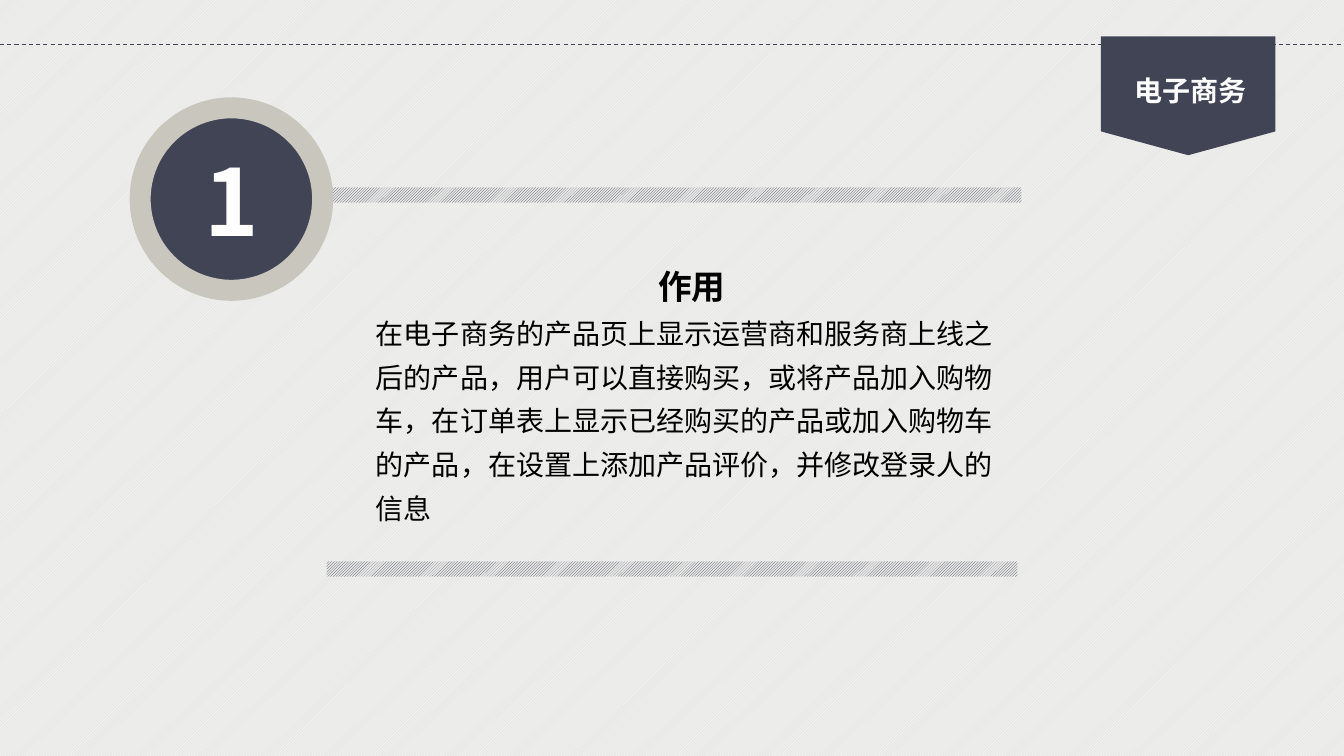
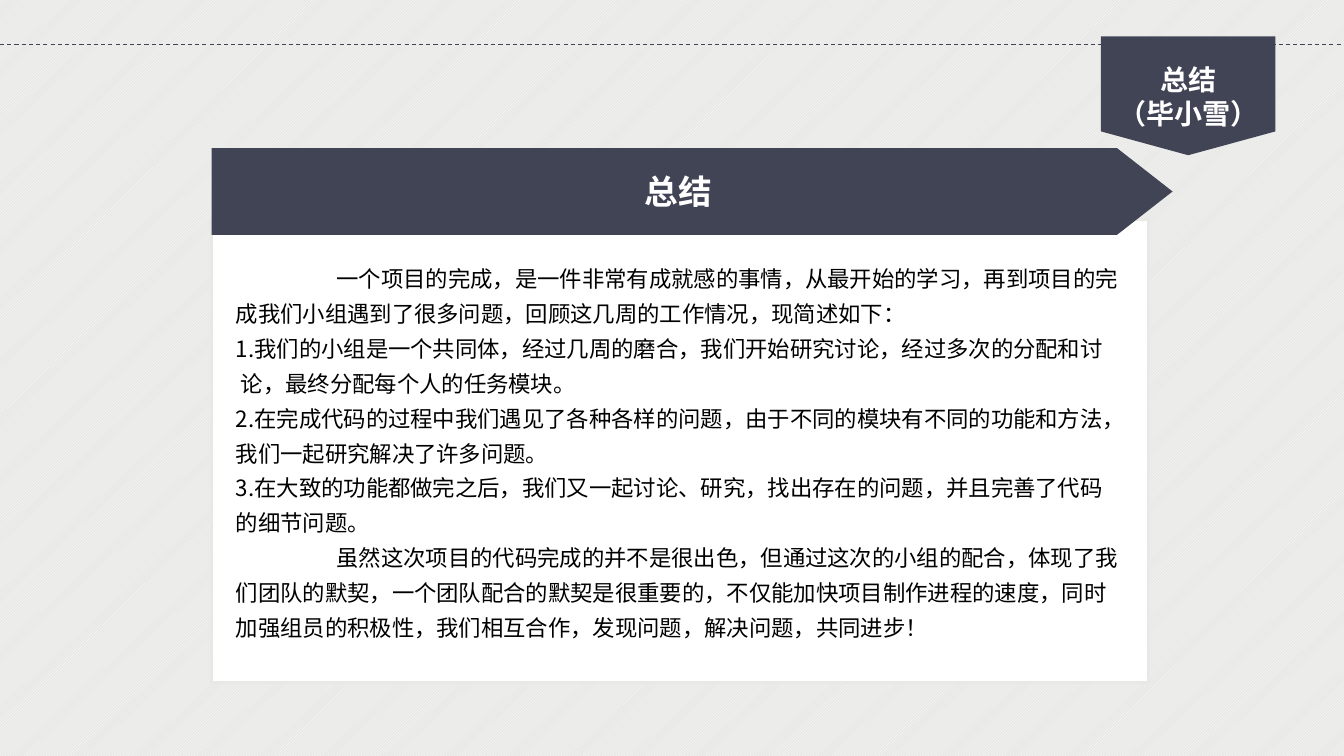
from dataclasses import dataclass

from lxml import etree
from pptx import Presentation
from pptx.dml.color import RGBColor
from pptx.enum.dml import MSO_LINE, MSO_PATTERN
from pptx.enum.shapes import MSO_CONNECTOR, MSO_SHAPE
from pptx.enum.text import MSO_ANCHOR, PP_ALIGN
from pptx.oxml.ns import qn
from pptx.util import Inches, Pt

STRIPES = MSO_PATTERN.LIGHT_UPWARD_DIAGONAL
DASH = MSO_LINE.DASH
STRAIGHT = MSO_CONNECTOR.STRAIGHT
RECTANGLE = MSO_SHAPE.RECTANGLE
ELLIPSE = MSO_SHAPE.OVAL
PENTAGON = MSO_SHAPE.PENTAGON
BADGE = MSO_SHAPE.FLOWCHART_OFFPAGE_CONNECTOR
LEFT, CENTER = PP_ALIGN.LEFT, PP_ALIGN.CENTER
TOP, MIDDLE = MSO_ANCHOR.TOP, MSO_ANCHOR.MIDDLE


@dataclass(frozen=True)
class Theme:
    navy: str = "414455"
    stone: str = "C8C6BD"
    mist: str = "E8E8E6"
    white: str = "FFFFFF"
    black: str = "000000"
    font: str = "Noto Sans CJK SC"
    number_font: str = "Noto Sans CJK JP"
    number: int = 66
    heading: int = 24
    label: int = 20
    body: int = 16
    spacing: float = 1.3


THEME = Theme()
WIDTH, HEIGHT = 13.33, 7.5

# Content: each paragraph of the summary is (text, left margin, first-line indent)
ROLE = {
    "badge": ["电子商务"],
    "badge_at": (11.15, 0.68, 1.32, 0.44),
    "number": "1",
    "heading": "作用",
    "body": "在电子商务的产品页上显示运营商和服务商上线之后的产品，用户可以直接购买，"
            "或将产品加入购物车，在订单表上显示已经购买的产品或加入购物车的产品，"
            "在设置上添加产品评价，并修改登录人的信息",
    "bars": [(3.24, 5.57), (3.28, 1.86)],
}
SUMMARY = {
    "badge": ["总结", "（毕小雪）"],
    "badge_at": (10.99, 0.57, 1.59, 0.77),
    "heading": "总结",
    "body": [
        ("一个项目的完成，是一件非常有成就感的事情，从最开始的学习，再到项目的完成"
         "我们小组遇到了很多问题，回顾这几周的工作情况，现简述如下：", 0, 1),
        ("1.我们的小组是一个共同体，经过几周的磨合，我们开始研究讨论，"
         "经过多次的分配和讨论，最终分配每个人的任务模块。", 0.05, -0.05),
        ("2.在完成代码的过程中我们遇见了各种各样的问题，由于不同的模块有不同的功能和方法，"
         "我们一起研究解决了许多问题。", 0, 0),
        ("3.在大致的功能都做完之后，我们又一起讨论、研究，找出存在的问题，"
         "并且完善了代码的细节问题。", 0, 0),
        ("虽然这次项目的代码完成的并不是很出色，但通过这次的小组的配合，体现了我们团队的默契，"
         "一个团队配合的默契是很重要的，不仅能加快项目制作进程的速度，"
         "同时加强组员的积极性，我们相互合作，发现问题，解决问题，共同进步！", 0, 1),
    ],
}


def color(value):
    return RGBColor.from_string(value)


def stripe(fill, front):
    fill.patterned()
    fill.pattern = STRIPES
    fill.fore_color.rgb = color(front)
    fill.back_color.rgb = color(THEME.mist)


def add_shape(page, kind, at, fill=THEME.navy, line=None, line_width=0):
    shape = page.shapes.add_shape(kind, *map(Inches, at))
    shape.shadow.inherit = False
    if fill:
        shape.fill.solid()
        shape.fill.fore_color.rgb = color(fill)
    if line:
        shape.line.color.rgb = color(line)
        shape.line.width = Pt(line_width)
    else:
        shape.line.fill.background()
    return shape


def add_box(page, at):
    return page.shapes.add_textbox(*map(Inches, at))


def write(shape, text, size=THEME.label, ink=THEME.black, bold=False, align=LEFT,
          font=THEME.font, spacing=None, margin=0, indent=0, anchor=TOP, wrap=True):
    """Fill the first paragraph of a shape, or append one to existing text."""
    frame = shape.text_frame
    frame.word_wrap = wrap
    frame.vertical_anchor = anchor
    para = frame.add_paragraph() if frame.text else frame.paragraphs[0]
    para.alignment = align
    if spacing:
        para.line_spacing = spacing
    if margin or indent:
        properties = para._p.get_or_add_pPr()
        properties.set("marL", str(Inches(margin)))
        properties.set("indent", str(Inches(indent)))
    span = para.add_run()
    span.text = text
    span.font.size = Pt(size)
    span.font.bold = bold
    span.font.color.rgb = color(ink)
    span.font.name = font
    east_asian = etree.SubElement(span._r.get_or_add_rPr(), qn("a:ea"))
    east_asian.set("typeface", font)


def add_page(deck, content):
    """Striped page with the dashed rule and the corner badge."""
    page = deck.slides.add_slide(deck.slide_layouts[6])
    stripe(page.background.fill, THEME.white)
    rule = page.shapes.add_connector(
        STRAIGHT, 0, Inches(0.44), Inches(WIDTH), Inches(0.44))
    rule.line.color.rgb = color(THEME.navy)
    rule.line.width = Pt(0.75)
    rule.line.dash_style = DASH
    etree.SubElement(rule._element.spPr, qn("a:effectLst"))
    add_shape(page, BADGE, (10.92, 0.36, 1.73, 1.18))
    label = add_box(page, content["badge_at"])
    for text in content["badge"]:
        write(label, text, ink=THEME.white, bold=True, align=CENTER, wrap=False)
    return page


def add_role(deck):
    page = add_page(deck, ROLE)
    # Striped bars above and below the text
    for left, top in ROLE["bars"]:
        bar = add_shape(page, RECTANGLE, (left, top, 6.85, 0.15), fill=None)
        stripe(bar.fill, THEME.navy)
    # Number disc
    disc = add_shape(page, ELLIPSE, (1.39, 1.07, 1.81, 1.81),
                     line=THEME.stone, line_width=15)
    write(disc, ROLE["number"], size=THEME.number, ink=THEME.white, bold=True,
          align=CENTER, font=THEME.number_font, anchor=MIDDLE)
    # Heading and description
    box = add_box(page, (3.63, 2.47, 6.46, 2.81))
    write(box, ROLE["heading"], size=THEME.heading, bold=True, align=CENTER,
          spacing=THEME.spacing)
    write(box, ROLE["body"], spacing=THEME.spacing)


def add_summary(deck):
    page = add_page(deck, SUMMARY)
    # Card with its arrow-shaped title
    add_shape(page, RECTANGLE, (2.1, 2.18, 9.29, 4.59), fill=THEME.white,
              line=THEME.mist, line_width=2)
    title = add_shape(page, PENTAGON, (2.1, 1.47, 9.53, 0.86))
    title.adjustments[0] = 0.64
    write(title, SUMMARY["heading"], size=THEME.heading, ink=THEME.white, bold=True,
          align=CENTER, anchor=MIDDLE, wrap=False)
    # Card text
    box = add_box(page, (2.24, 2.5, 9.01, 3.95))
    for text, margin, indent in SUMMARY["body"]:
        write(box, text, size=THEME.body, spacing=THEME.spacing,
              margin=margin, indent=indent)


def main():
    deck = Presentation()
    deck.slide_width, deck.slide_height = Inches(WIDTH), Inches(HEIGHT)
    add_role(deck)
    add_summary(deck)
    deck.save("out.pptx")


if __name__ == "__main__":
    main()
